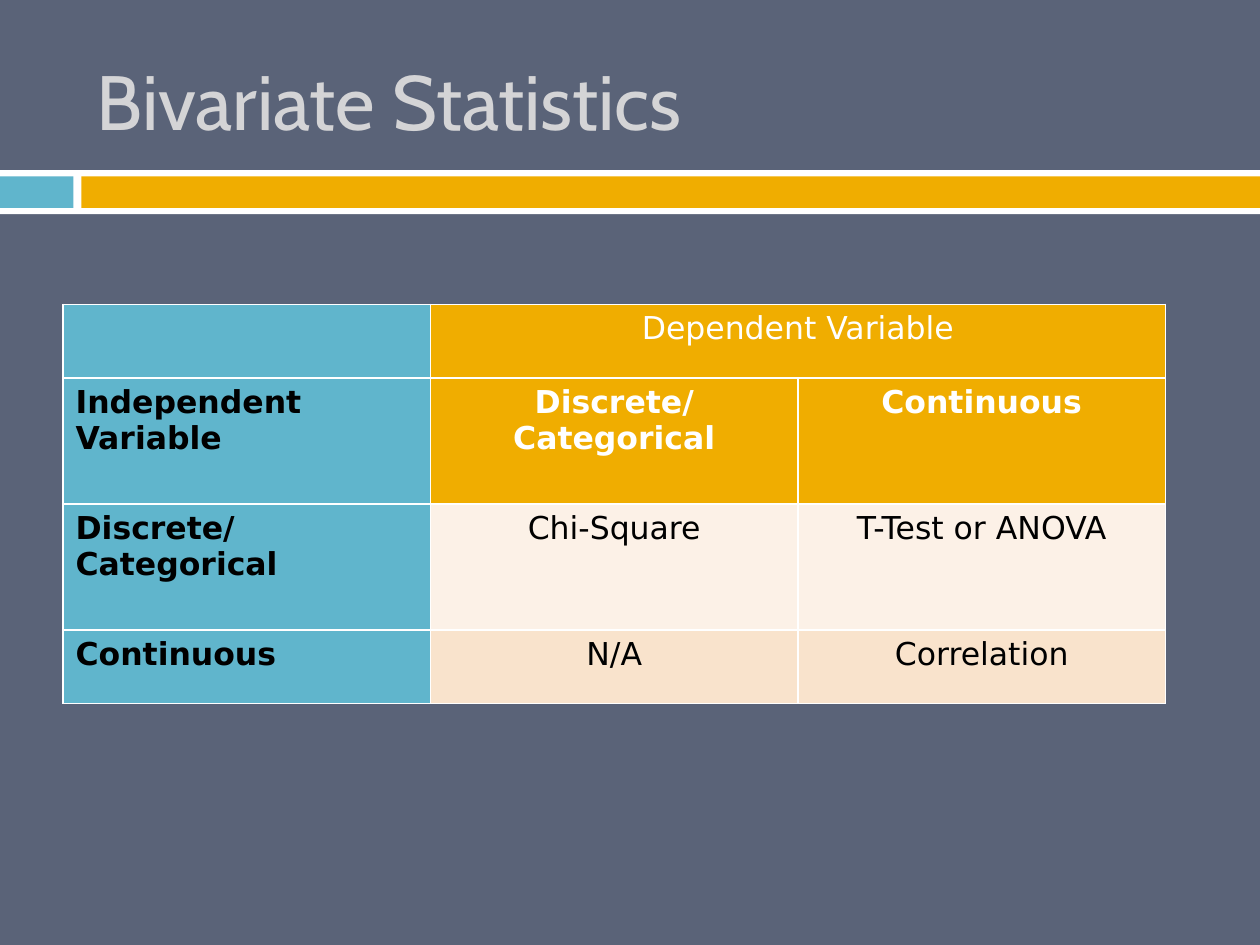
from dataclasses import dataclass

from lxml import etree
from pptx import Presentation
from pptx.dml.color import RGBColor
from pptx.enum import shapes, text
from pptx.oxml import ns
from pptx.util import Pt


@dataclass(frozen=True)
class Theme:
    background: str = "5A6378"
    white: str = "FFFFFF"
    black: str = "000000"
    blue: str = "60B5CC"
    gold: str = "F0AD00"
    title: str = "D4D4D6"
    bands: tuple = ("FCF1E7", "F9E3CC")
    title_font: str = "Cabin"
    body_font: str = "DejaVu Sans"
    title_size: int = 44
    body_size: int = 18
    border: int = 1


class SlideBuilder:
    def __init__(self, page, theme):
        self.page = page
        self.theme = theme
        fill = page.background.fill
        fill.solid()
        fill.fore_color.rgb = RGBColor.from_string(theme.background)

    def style(self, para, font, size, color, bold=False):
        para.font.name = font
        para.font.size = Pt(size)
        para.font.bold = bold
        para.font.color.rgb = RGBColor.from_string(color)

    def bar(self, left, top, width, height, color):
        box = self.page.shapes.add_shape(
            shapes.MSO_SHAPE.RECTANGLE, Pt(left), Pt(top), Pt(width), Pt(height))
        box.shadow.inherit = False
        box.fill.solid()
        box.fill.fore_color.rgb = RGBColor.from_string(color)
        box.line.fill.background()

    def title(self, words, left, top, width, height):
        box = self.page.shapes.title
        box.left, box.top, box.width, box.height = map(Pt, (left, top, width, height))
        frame = box.text_frame
        frame.text = words
        frame.vertical_anchor = text.MSO_ANCHOR.MIDDLE
        para = frame.paragraphs[0]
        para.alignment = text.PP_ALIGN.LEFT
        self.style(para, self.theme.title_font, self.theme.title_size, self.theme.title)

    def cell(self, cell, words, fill, color, bold, align):
        cell.fill.solid()
        cell.fill.fore_color.rgb = RGBColor.from_string(fill)
        cell.text = words
        para = cell.text_frame.paragraphs[0]
        para.alignment = align
        self.style(para, self.theme.body_font, self.theme.body_size, color, bold)
        self.borders(cell)

    def borders(self, cell):
        properties = cell._tc.get_or_add_tcPr()
        for position, side in enumerate(("lnL", "lnR", "lnT", "lnB")):
            line = etree.Element(ns.qn(f"a:{side}"), w=str(Pt(self.theme.border)))
            solid = etree.SubElement(line, ns.qn("a:solidFill"))
            etree.SubElement(solid, ns.qn("a:srgbClr"), val=self.theme.white)
            properties.insert(position, line)

    def matrix(self, rows, left, top, column_width, row_heights):
        theme = self.theme
        columns = len(rows[0])
        table = self.page.shapes.add_table(
            len(rows), columns, Pt(left), Pt(top),
            Pt(column_width * columns), Pt(sum(row_heights))).table
        for column in table.columns:
            column.width = Pt(column_width)
        for r, (words, height) in enumerate(zip(rows, row_heights)):
            table.rows[r].height = Pt(height)
            for c, label in enumerate(words):
                if c == 0:
                    look = theme.blue, theme.black, True, text.PP_ALIGN.LEFT
                elif r < 2:
                    look = theme.gold, theme.white, r == 1, text.PP_ALIGN.CENTER
                else:
                    look = theme.bands[r % 2], theme.black, False, text.PP_ALIGN.CENTER
                self.cell(table.cell(r, c), label, *look)
        table.cell(0, 1).merge(table.cell(0, columns - 1))


def main():
    deck = Presentation()
    deck.slide_width, deck.slide_height = Pt(720), Pt(540)
    theme = Theme()
    slide = SlideBuilder(deck.slides.add_slide(deck.slide_layouts[5]), theme)

    slide.bar(0, 97.2, 720, 25.2, theme.white)
    slide.bar(0, 100.8, 42, 18, theme.blue)
    slide.bar(46.5, 100.8, 673.5, 18, theme.gold)
    slide.title("Bivariate Statistics", 48, 18, 642, 78)
    slide.matrix(
        [
            ("", "Dependent Variable", ""),
            ("Independent Variable", "Discrete/Categorical", "Continuous"),
            ("Discrete/Categorical", "Chi-Square", "T-Test or ANOVA"),
            ("Continuous", "N/A", "Correlation"),
        ],
        left=36, top=174, column_width=210, row_heights=(42, 72, 72, 42))

    deck.save("out.pptx")


if __name__ == "__main__":
    main()
